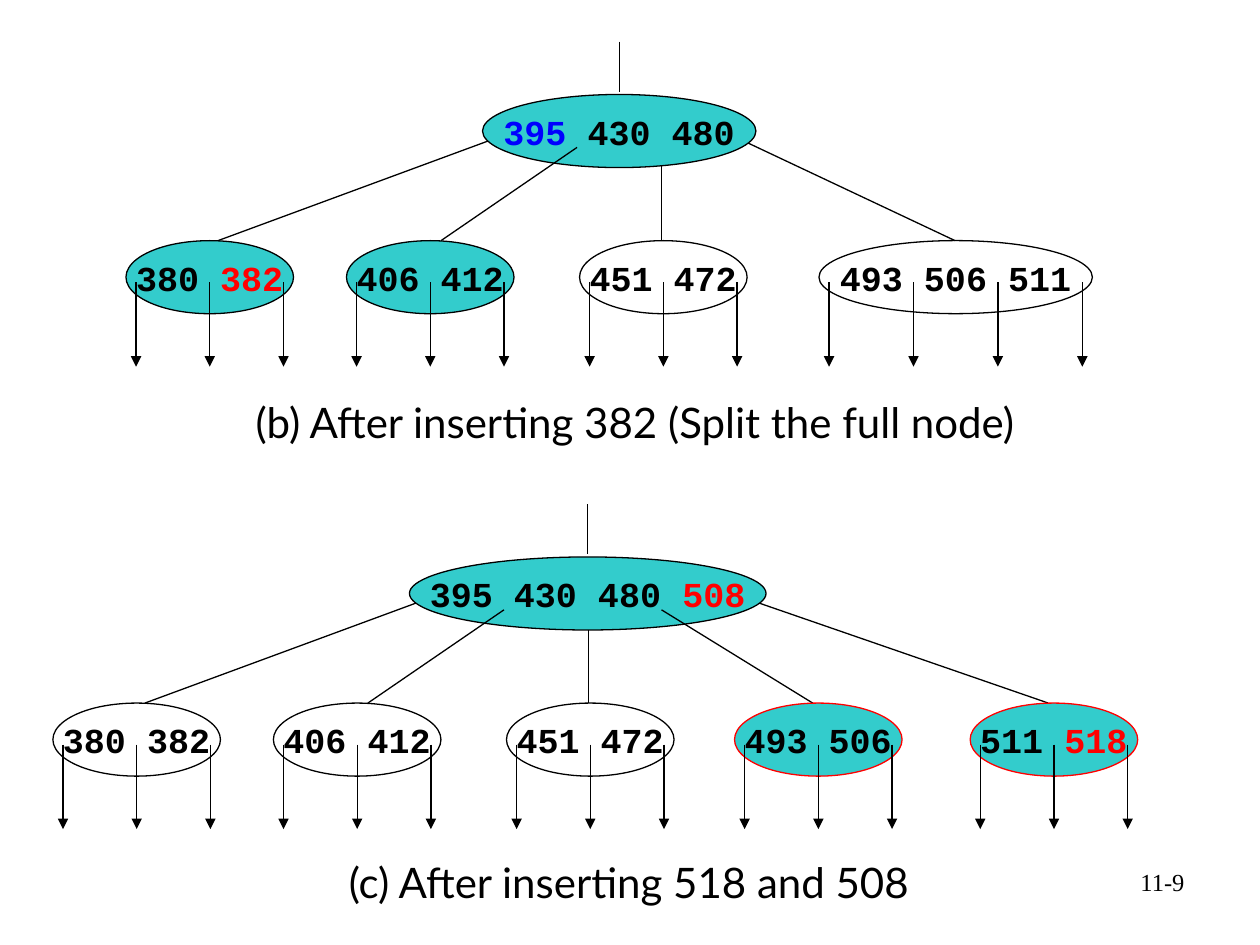
from dataclasses import dataclass

from lxml import etree
from pptx import Presentation
from pptx.dml.color import RGBColor
from pptx.enum.shapes import MSO_CONNECTOR, MSO_SHAPE
from pptx.enum.text import MSO_ANCHOR, PP_ALIGN
from pptx.oxml.ns import qn
from pptx.util import Inches, Pt

ELLIPSE = MSO_SHAPE.OVAL
STRAIGHT = MSO_CONNECTOR.STRAIGHT
MIDDLE = MSO_ANCHOR.MIDDLE
LEFT, CENTER, RIGHT = PP_ALIGN.LEFT, PP_ALIGN.CENTER, PP_ALIGN.RIGHT

COLORS = {
    "black": "000000",
    "red": "FF0000",
    "blue": "0000FF",
    "teal": "33CCCC",
}

NODE_HEIGHT = 0.58
LEAF_WIDTH = 1.33
STEM_LENGTH = 0.4
ROOT_LEFT, ROOT_TOP = 2.83, 0.42
OUTER_EDGE_TOP, INNER_EDGE_TOP = 0.75, 0.84
LEAF_TOP = 1.58
POINTER_INSET, POINTER_DROP, POINTER_LENGTH = 0.08, 0.33, 0.67


@dataclass
class Leaf:
    """A leaf and its edge from the root, measured from the tree's left side."""
    left: float
    keys: list
    edge_start: float
    edge_end: float
    edge_top: float = OUTER_EDGE_TOP
    edge_in_front: bool = False
    width: float = LEAF_WIDTH
    fill: str = None
    outline: str = "black"


def rgb(name):
    return RGBColor.from_string(COLORS[name])


def add_line(slide, x1, y1, x2, y2, arrow=False):
    connector = slide.shapes.add_connector(
        STRAIGHT, Inches(x1), Inches(y1), Inches(x2), Inches(y2))
    connector.line.color.rgb = rgb("black")
    connector.line.width = Pt(0.75)
    if arrow:
        line = connector.line._get_or_add_ln()
        etree.SubElement(line, qn("a:tailEnd"), type="triangle")
    etree.SubElement(connector._element.spPr, qn("a:effectLst"))


def add_node(slide, left, top, width, keys, fill=None, outline="black"):
    """Draw an ellipse holding keys, given as (text, color) runs."""
    shape = slide.shapes.add_shape(
        ELLIPSE, Inches(left), Inches(top), Inches(width), Inches(NODE_HEIGHT))
    shape.shadow.inherit = False
    if fill:
        shape.fill.solid()
        shape.fill.fore_color.rgb = rgb(fill)
    else:
        shape.fill.background()
    shape.line.color.rgb = rgb(outline)
    shape.line.width = Pt(0.75)
    text_frame = shape.text_frame
    text_frame.word_wrap = False
    text_frame.vertical_anchor = MIDDLE
    paragraph = text_frame.paragraphs[0]
    paragraph.alignment = CENTER
    for text, color in keys:
        run = paragraph.add_run()
        run.text = text
        run.font.name = "Courier New"
        run.font.size = Pt(20)
        run.font.bold = True
        run.font.color.rgb = rgb(color)


def add_text(slide, left, top, width, height, text, font, size, alignment=LEFT):
    box = slide.shapes.add_textbox(
        Inches(left), Inches(top), Inches(width), Inches(height))
    box.text_frame.word_wrap = True
    box.text_frame.text = text
    paragraph = box.text_frame.paragraphs[0]
    paragraph.alignment = alignment
    run = paragraph.runs[0]
    run.font.name = font
    run.font.size = Pt(size)
    run.font.color.rgb = rgb("black")


def add_edges(slide, left, top, leaves):
    for leaf in leaves:
        add_line(slide, left + leaf.edge_start, top + leaf.edge_top,
                 left + leaf.edge_end, top + LEAF_TOP)


def add_leaf(slide, left, top, leaf):
    """Draw a leaf with one child pointer more than it has keys."""
    add_node(slide, left, top, leaf.width, leaf.keys, leaf.fill, leaf.outline)
    key_count = sum(len(text.split()) for text, _ in leaf.keys)
    step = (leaf.width - 2 * POINTER_INSET) / key_count
    start = top + POINTER_DROP
    for index in range(key_count + 1):
        x = left + POINTER_INSET + index * step
        add_line(slide, x, start, x, start + POINTER_LENGTH, arrow=True)


def add_tree(slide, left, top, root_width, root_keys, leaves):
    stem = left + ROOT_LEFT + root_width / 2
    add_line(slide, stem, top, stem, top + STEM_LENGTH)
    add_edges(slide, left, top, [leaf for leaf in leaves if not leaf.edge_in_front])
    add_node(slide, left + ROOT_LEFT, top + ROOT_TOP, root_width, root_keys, "teal")
    add_edges(slide, left, top, [leaf for leaf in leaves if leaf.edge_in_front])
    for leaf in leaves:
        add_leaf(slide, left + leaf.left, top + LEAF_TOP, leaf)


def main():
    presentation = Presentation()
    presentation.slide_width = Inches(10)
    presentation.slide_height = Inches(7.5)
    slide = presentation.slides.add_slide(presentation.slide_layouts[6])

    inner = {"edge_top": INNER_EDGE_TOP}
    front = {"edge_top": INNER_EDGE_TOP, "edge_in_front": True}
    split = {"fill": "teal", "outline": "red"}
    middle_leaf = Leaf(3.6, [("451 472", "black")], 4.25, 4.25, **inner)

    add_tree(slide, 1, 0.33, 2.17, [("395", "blue"), (" 430 480", "black")], [
        Leaf(0, [("380 ", "black"), ("382", "red")], 2.98, 0.73, fill="teal"),
        Leaf(1.75, [("406 412", "black")], 3.58, 2.5, fill="teal", **front),
        middle_leaf,
        Leaf(5.5, [("493 506 511", "black")], 4.82, 6.58, width=2.17),
    ])
    add_text(slide, 1.93, 3.1, 6.64, 0.5,
             "(b) After inserting 382 (Split the full node)", "Lato", 24)

    add_tree(slide, 0.42, 4, 2.83, [("395 430 480 ", "black"), ("508", "red")], [
        Leaf(0, [("380 382", "black")], 2.98, 0.73),
        Leaf(1.75, [("406 412", "black")], 3.58, 2.5, **front),
        middle_leaf,
        Leaf(5.41, [("493 506", "black")], 4.83, 6.03, **front, **split),
        Leaf(7.28, [("511 ", "black"), ("518", "red")], 5.5, 7.9, **split),
    ])
    add_text(slide, 2.67, 6.75, 4.9, 0.5,
             "(c) After inserting 518 and 508", "Lato", 24)

    add_text(slide, 7.17, 6.83, 2.33, 0.52, "11-9", "Times New Roman", 14, RIGHT)
    presentation.save("out.pptx")


if __name__ == "__main__":
    main()
